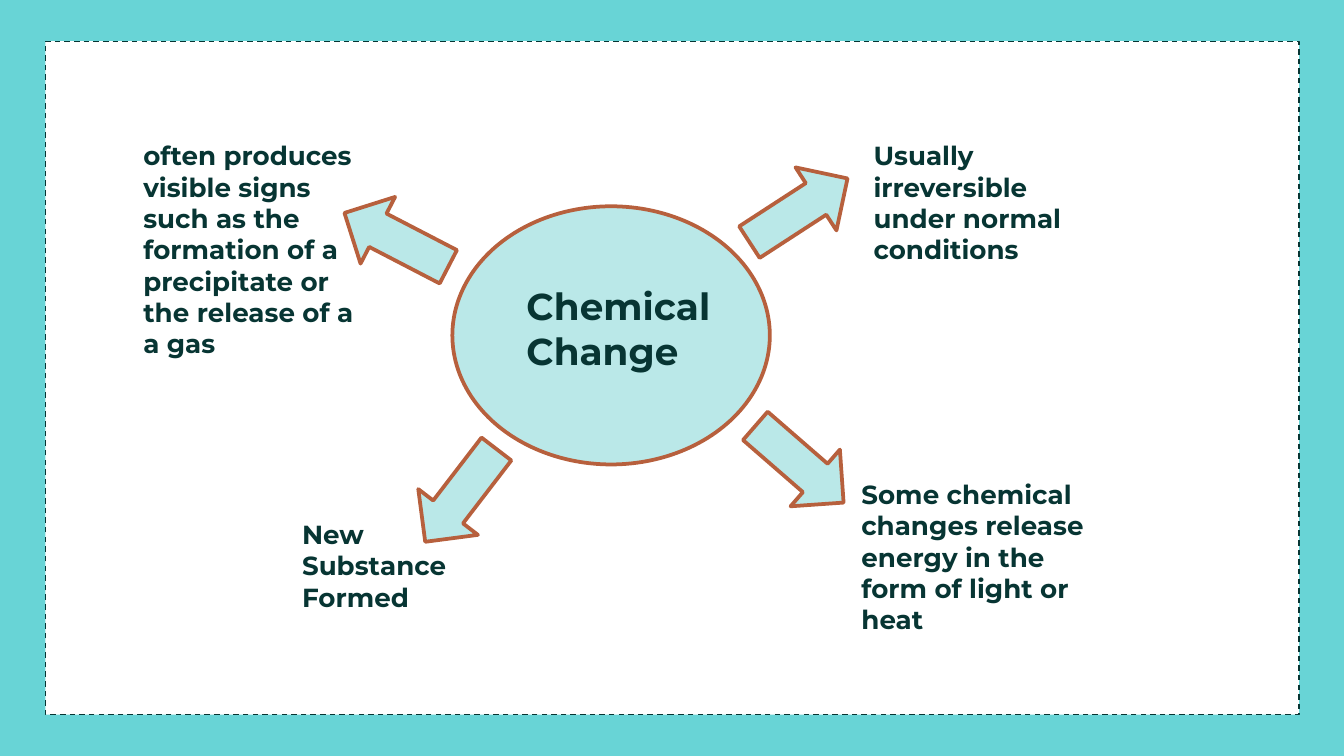
"""Build the Chemical Change concept map slide."""
from typing import NamedTuple

from pptx import Presentation
from pptx import util as u
from pptx.dml.color import RGBColor
from pptx.enum import dml, shapes, text

TEAL = RGBColor(0x68, 0xD4, 0xD6)
PALE = RGBColor(0xBA, 0xE8, 0xE8)
WHITE = RGBColor(0xFF, 0xFF, 0xFF)
RUST = RGBColor(0xB7, 0x60, 0x3D)
INK = RGBColor(0x07, 0x35, 0x33)
KIND = shapes.MSO_SHAPE


class Box(NamedTuple):
    left: float
    top: float
    width: float
    height: float

    def lengths(self) -> list[u.Cm]:
        return [u.Cm(v) for v in self]


class Arrow(NamedTuple):
    left: float
    top: float
    angle: float


class Label(NamedTuple):
    words: str
    box: Box
    size: int = 14


ARROWS = [
    Arrow(6.78, 3.43, 117.4),
    Arrow(8.0, 8.26, 37.5),
    Arrow(14.38, 2.87, 237),
    Arrow(14.4, 7.67, 311),
]
LABELS = [
    Label("often produces visible signs such as the formation of a precipitate "
          "or the release of a a gas", Box(2.46, 2.39, 4.55, 1.6)),
    Label("Some chemical changes release energy in the form of light or heat",
          Box(16.03, 8.79, 4.98, 1.6)),
    Label("New Substance Formed", Box(5.46, 9.55, 3.43, 1.6)),
    Label("Usually irreversible under normal conditions", Box(16.26, 2.39, 4.55, 1.6)),
    Label("Chemical Change", Box(9.7, 5.11, 5.77, 1.5), 20),
]


def add_figure(s, kind: KIND, box: Box, fill: RGBColor = PALE,
               line: RGBColor = RUST, weight: float = 2, angle: float = 0):
    sp = s.shapes.add_shape(kind, *box.lengths())
    sp.shadow.inherit = False
    sp.rotation = angle
    sp.fill.solid()
    sp.fill.fore_color.rgb = fill
    sp.line.color.rgb = line
    sp.line.width = u.Pt(weight)
    return sp


def add_label(s, label: Label) -> None:
    tf = s.shapes.add_textbox(*label.box.lengths()).text_frame
    frame = {"word_wrap": True, "vertical_anchor": text.MSO_ANCHOR.TOP}
    frame |= {f"margin_{side}": u.Cm(0.25) for side in ("left", "right", "top", "bottom")}
    for name, value in frame.items():
        setattr(tf, name, value)
    r = tf.paragraphs[0].add_run()
    r.text = label.words
    for name, value in {"name": "Montserrat", "size": u.Pt(label.size), "bold": True}.items():
        setattr(r.font, name, value)
    r.font.color.rgb = INK


def main() -> None:
    prs = Presentation()
    prs.slide_width, prs.slide_height = u.Cm(25.4), u.Cm(14.29)
    s = prs.slides.add_slide(prs.slide_layouts[6])
    s.background.fill.solid()
    s.background.fill.fore_color.rgb = TEAL

    panel = add_figure(s, KIND.RECTANGLE, Box(0.86, 0.78, 23.69, 12.73), WHITE, INK, 0.75)
    panel.line.dash_style = dml.MSO_LINE.DASH
    add_figure(s, KIND.OVAL, Box(8.55, 3.9, 6, 4.88))
    for arrow in ARROWS:
        add_figure(s, KIND.DOWN_ARROW, Box(arrow.left, arrow.top, 1.42, 2.21),
                   angle=arrow.angle)
    for label in LABELS:
        add_label(s, label)
    prs.save("out.pptx")


if __name__ == "__main__":
    main()
